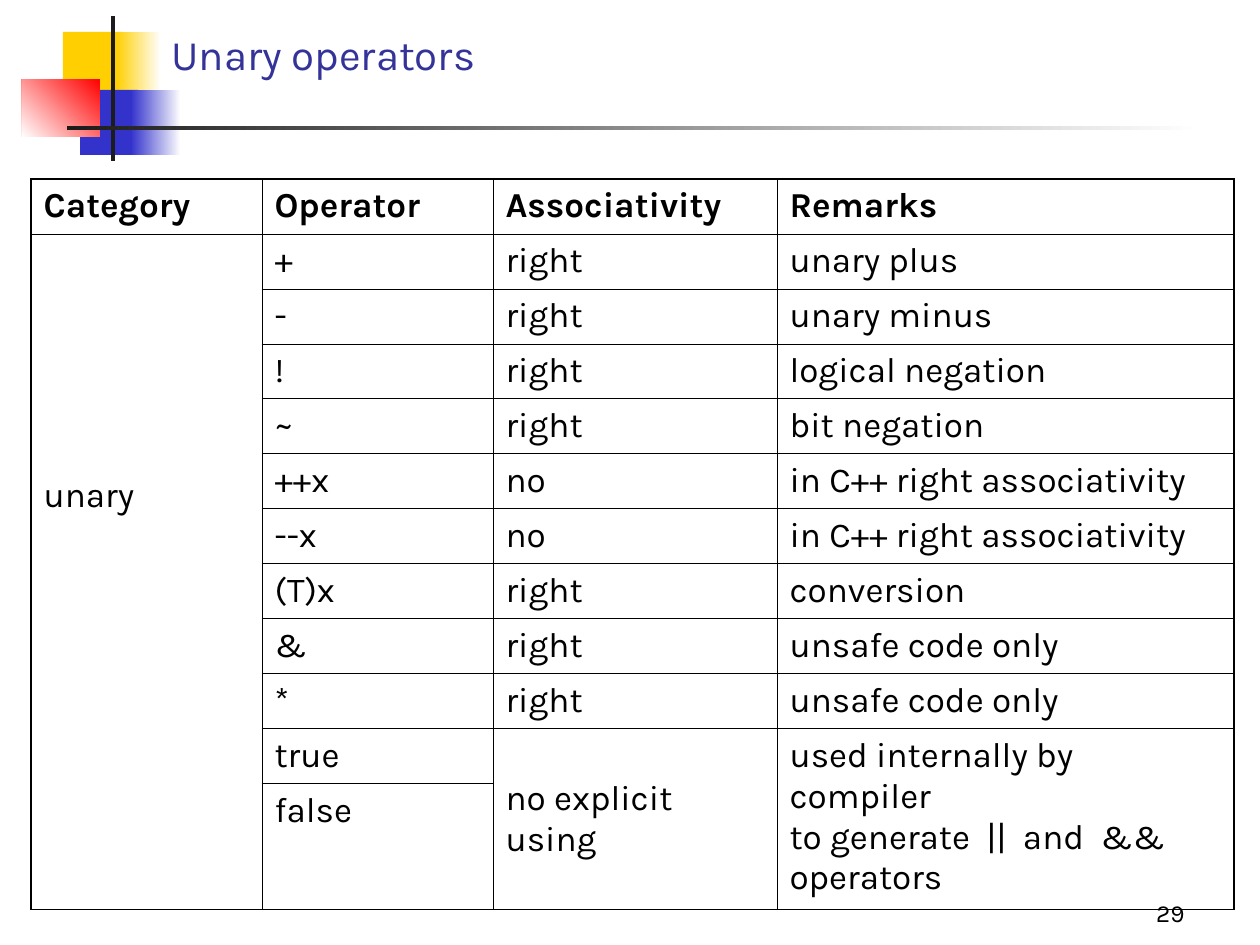
from lxml.etree import SubElement
from pptx import Presentation
from pptx.dml.color import RGBColor
from pptx.enum.shapes import MSO_SHAPE
from pptx.enum.text import MSO_ANCHOR, PP_ALIGN
from pptx.oxml.ns import qn
from pptx.util import Emu, Pt

BLACK = "000000"
WHITE = "FFFFFF"
GOLD = "FFCF01"
BLUE = "3333CC"
RED = "FF0000"
DARK = "1C1C1C"
OUTER, INNER = 1.08, 0.45

COLS = [231, 231, 284, 457]
ROWS = [55] * 11 + [122]
HEADS = ["Category", "Operator", "Associativity", "Remarks"]
BODY = [
    ["unary", "+", "right", "unary plus"],
    ["", "-", "right", "unary minus"],
    ["", "!", "right", "logical negation"],
    ["", "~", "right", "bit negation"],
    ["", "++x", "no", "in C++ right associativity"],
    ["", "--x", "no", "in C++ right associativity"],
    ["", "(T)x", "right", "conversion"],
    ["", "&", "right", "unsafe code only"],
    ["", "*", "right", "unsafe code only"],
    ["", "true", "no explicit using",
     "used internally by compiler\vto generate  ||  and  &&  operators"],
    ["", "false", "", ""],
]


def px(n):
    return Emu(round(n * 914400 / 126))


def rgb(code):
    return RGBColor.from_string(code)


def write(frame, text, size=20, color=BLACK, bold=False, align=PP_ALIGN.LEFT):
    para = frame.paragraphs[0]
    para.text = text
    para.alignment = align
    font = para.font
    font.name = "Karla"
    font.size = Pt(size)
    font.bold = bold
    font.color.rgb = rgb(color)


def label(slide, box, text, **style):
    frame = slide.shapes.add_textbox(*map(px, box)).text_frame
    frame.word_wrap = True
    frame.vertical_anchor = MSO_ANCHOR.BOTTOM
    write(frame, text, **style)


def block(slide, box, color, fade=None, angle=0):
    """Draw a rectangle, solid or fading to a second colour."""
    shape = slide.shapes.add_shape(MSO_SHAPE.RECTANGLE, *map(px, box))
    shape.shadow.inherit = False
    shape.line.fill.background()
    fill = shape.fill
    if fade is None:
        fill.solid()
        fill.fore_color.rgb = rgb(color)
        return
    fill.gradient()
    fill.gradient_angle = angle
    for stop, code, place in zip(fill.gradient_stops, (color, fade), (0, 1)):
        stop.color.rgb = rgb(code)
        stop.position = place


def border(cell, sides):
    """Set cell lines from a dict of side letter to width in points."""
    props = cell._tc.get_or_add_tcPr()
    for spot, (side, width) in enumerate(sides.items()):
        line = SubElement(props, qn(f"a:ln{side}"), w=str(Pt(width)))
        fill = SubElement(line, qn("a:solidFill"))
        SubElement(fill, qn("a:srgbClr"), val=BLACK)
        props.insert(spot, line)


def edges(cell, row, col):
    last = row + (cell.span_height if cell.is_merge_origin else 1) == len(ROWS)
    outer = {"L": col == 0, "R": col == len(COLS) - 1, "T": row == 0, "B": last}
    if cell.is_spanned:
        del outer["T"]
        if not last:
            del outer["B"]
    return {side: OUTER if out else INNER for side, out in outer.items()}


def grid(slide):
    frame = slide.shapes.add_table(
        len(ROWS), len(COLS), px(31), px(179), px(sum(COLS)), px(sum(ROWS)))
    table = frame.table
    table.first_row = table.horz_banding = False
    for col, width in zip(table.columns, COLS):
        col.width = px(width)
    for row, height in zip(table.rows, ROWS):
        row.height = px(height)
    for top, col in ((1, 0), (10, 2), (10, 3)):
        table.cell(top, col).merge(table.cell(len(ROWS) - 1, col))
    for r, texts in enumerate([HEADS] + BODY):
        for c, text in enumerate(texts):
            cell = table.cell(r, c)
            cell.fill.background()
            border(cell, edges(cell, r, c))
            if not cell.is_spanned:
                write(cell.text_frame, text, bold=r == 0)
    table.cell(1, 0).margin_top = px(241)
    table.cell(10, 2).vertical_anchor = MSO_ANCHOR.MIDDLE


def main():
    deck = Presentation()
    deck.slide_width, deck.slide_height = px(1260), px(945)
    slide = deck.slides.add_slide(deck.slide_layouts[6])
    block(slide, (63, 32, 60, 65), GOLD)
    block(slide, (116, 32, 45, 65), WHITE, GOLD, 180)
    block(slide, (80, 90, 58, 65), BLUE)
    block(slide, (131, 90, 50, 65), WHITE, BLUE, 180)
    block(slide, (22, 79, 78, 58), RED, WHITE, 225)
    block(slide, (111, 16, 4, 145), DARK)
    block(slide, (67, 126, 1134, 4), WHITE, DARK, 180)
    label(slide, (159, 23, 1074, 62), "Unary operators", size=24, color="333399")
    grid(slide)
    label(slide, (1061, 892, 136, 42), "29", size=14, align=PP_ALIGN.RIGHT)
    deck.save("out.pptx")


if __name__ == "__main__":
    main()
